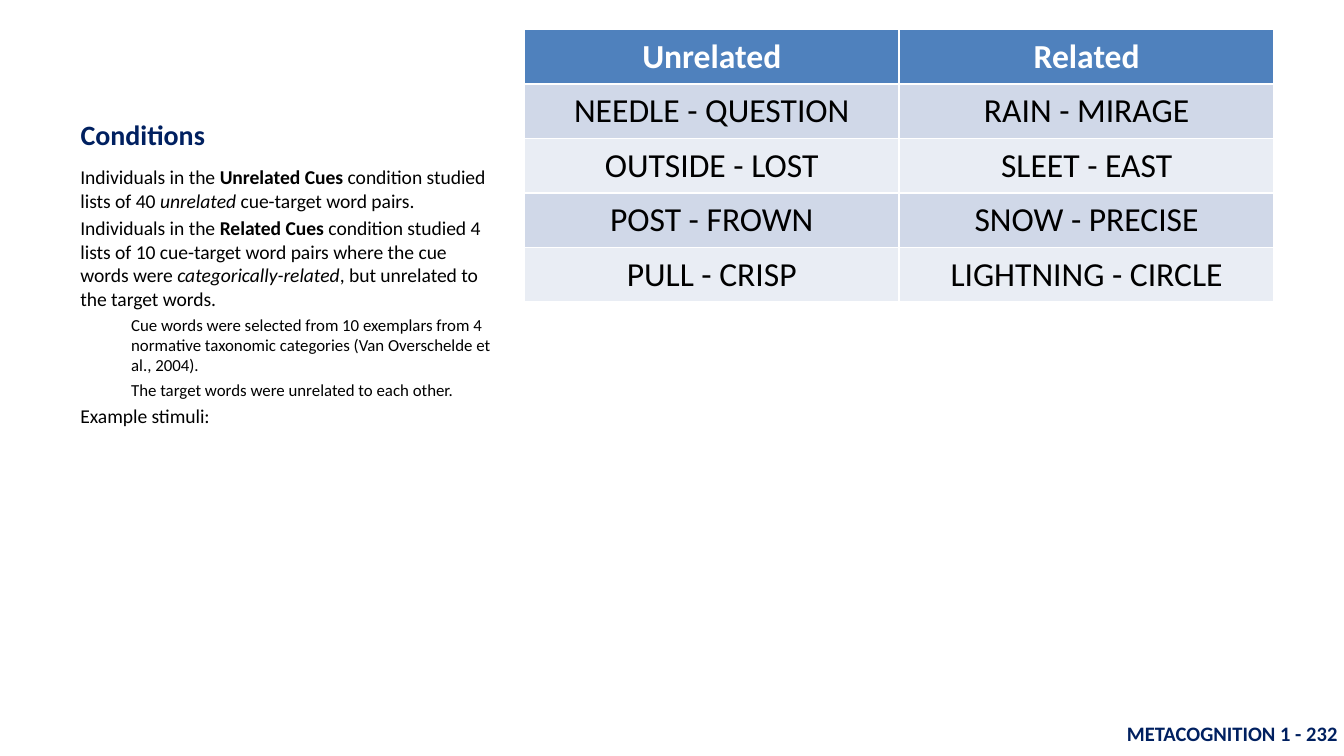
from lxml.etree import SubElement
from pptx import Presentation
from pptx.dml.color import RGBColor
from pptx.enum.text import MSO_ANCHOR as Anchor, PP_ALIGN as Align
from pptx.oxml.ns import qn
from pptx.util import Cm, Pt

COLOURS = {
    "navy": "002060",
    "black": "000000",
    "white": "FFFFFF",
    "header": "4F81BD",
    "odd_row": "D0D8E8",
    "even_row": "E9EDF4",
}
FORMATS = {
    "title": {"size": Pt(15), "bold": True, "color": "navy"},
    "footer": {"size": Pt(11), "bold": True, "color": "navy"},
    "body": {"size": Pt(10.5), "color": "black"},
    "detail": {"size": Pt(9), "color": "black"},
    "header": {"size": Pt(18), "bold": True, "color": "white"},
    "cell": {"size": Pt(18), "bold": False, "color": "black"},
}
BOLD, ITALIC = {"bold": True}, {"italic": True}

# Each paragraph: format name, then runs of text with their emphasis
CONDITIONS = [
    ("body", [("Individuals in the ", {}), ("Unrelated Cues", BOLD),
              (" condition studied lists of 40 ", {}), ("unrelated", ITALIC),
              (" cue-target word pairs.", {})]),
    ("body", [("Individuals in the ", {}), ("Related Cues", BOLD),
              (" condition studied 4 lists of 10 cue-target word pairs where "
               "the cue words were ", {}), ("categorically-related", ITALIC),
              (", but unrelated to the target words.", {})]),
    ("detail", [("Cue words were selected from 10 exemplars from 4 normative "
                 "taxonomic categories (Van Overschelde et al., 2004).", {})]),
    ("detail", [("The target words were unrelated to each other.", {})]),
    ("body", [("Example stimuli:", {})]),
]
STIMULI = [
    ("Unrelated", "Related"),
    ("NEEDLE - QUESTION", "RAIN - MIRAGE"),
    ("OUTSIDE - LOST", "SLEET - EAST"),
    ("POST - FROWN", "SNOW - PRECISE"),
    ("PULL - CRISP", "LIGHTNING - CIRCLE"),
]
LEFT, TEXT_WIDTH = Cm(1.27), Cm(8.36)
TABLE_WIDTH, ROW_HEIGHT = Cm(14.17), Cm(1.03)


def add_run(paragraph, text, format_name, emphasis=None):
    run = paragraph.add_run()
    run.text = text
    run.font.name = "Calibri"
    for name, value in {**FORMATS[format_name], **(emphasis or {})}.items():
        if name == "color":
            run.font.color.rgb = RGBColor.from_string(COLOURS[value])
        else:
            setattr(run.font, name, value)


def set_title(slide, text):
    title = slide.shapes.title
    title.left, title.top = LEFT, Cm(0.56)
    title.width, title.height = TEXT_WIDTH, Cm(2.42)
    title.text_frame.vertical_anchor = Anchor.BOTTOM
    paragraph = title.text_frame.paragraphs[0]
    paragraph.alignment = Align.LEFT
    add_run(paragraph, text, "title")


def add_text_box(slide, left, top, width, height):
    frame = slide.shapes.add_textbox(left, top, width, height).text_frame
    frame.word_wrap = True
    return frame


def add_conditions(slide):
    frame = add_text_box(slide, LEFT, Cm(3), TEXT_WIDTH, Cm(9.78))
    for index, (format_name, runs) in enumerate(CONDITIONS):
        paragraph = frame.add_paragraph() if index else frame.paragraphs[0]
        if index:
            paragraph.space_before = Pt(2.2)
        if format_name == "detail":
            paragraph.level = 1
            properties = paragraph._p.get_or_add_pPr()
            properties.set("marL", str(Cm(0.96)))
            properties.set("indent", "0")
        for text, emphasis in runs:
            add_run(paragraph, text, format_name, emphasis)


def add_footer(slide, text):
    frame = add_text_box(slide, Cm(20.93), Cm(13.51), Cm(4.72), Cm(0.74))
    frame.paragraphs[0].alignment = Align.CENTER
    add_run(frame.paragraphs[0], text, "footer")


def set_borders(cell):
    """Draw a thin white line on all four sides; call before the fill is set."""
    properties = cell._tc.get_or_add_tcPr()
    for side in ("lnL", "lnR", "lnT", "lnB"):
        line = SubElement(properties, qn(f"a:{side}"), w=str(Pt(1)))
        fill = SubElement(line, qn("a:solidFill"))
        SubElement(fill, qn("a:srgbClr"), val=COLOURS["white"])


def add_stimuli_table(slide):
    rows, columns = len(STIMULI), len(STIMULI[0])
    table = slide.shapes.add_table(rows, columns, Cm(9.91), Cm(0.56),
                                   TABLE_WIDTH, ROW_HEIGHT * rows).table
    for row, words in enumerate(STIMULI):
        band = "odd_row" if row % 2 else "even_row"
        for column, text in enumerate(words):
            cell = table.cell(row, column)
            set_borders(cell)
            cell.fill.solid()
            cell.fill.fore_color.rgb = RGBColor.from_string(
                COLOURS[band if row else "header"])
            paragraph = cell.text_frame.paragraphs[0]
            paragraph.alignment = Align.CENTER
            add_run(paragraph, text, "cell" if row else "header")


def main():
    presentation = Presentation()
    presentation.slide_width, presentation.slide_height = Cm(25.4), Cm(14.29)
    slide = presentation.slides.add_slide(presentation.slide_layouts[5])
    add_footer(slide, "METACOGNITION 1 - 232")
    set_title(slide, "Conditions")
    add_conditions(slide)
    add_stimuli_table(slide)
    presentation.save("out.pptx")


if __name__ == "__main__":
    main()
